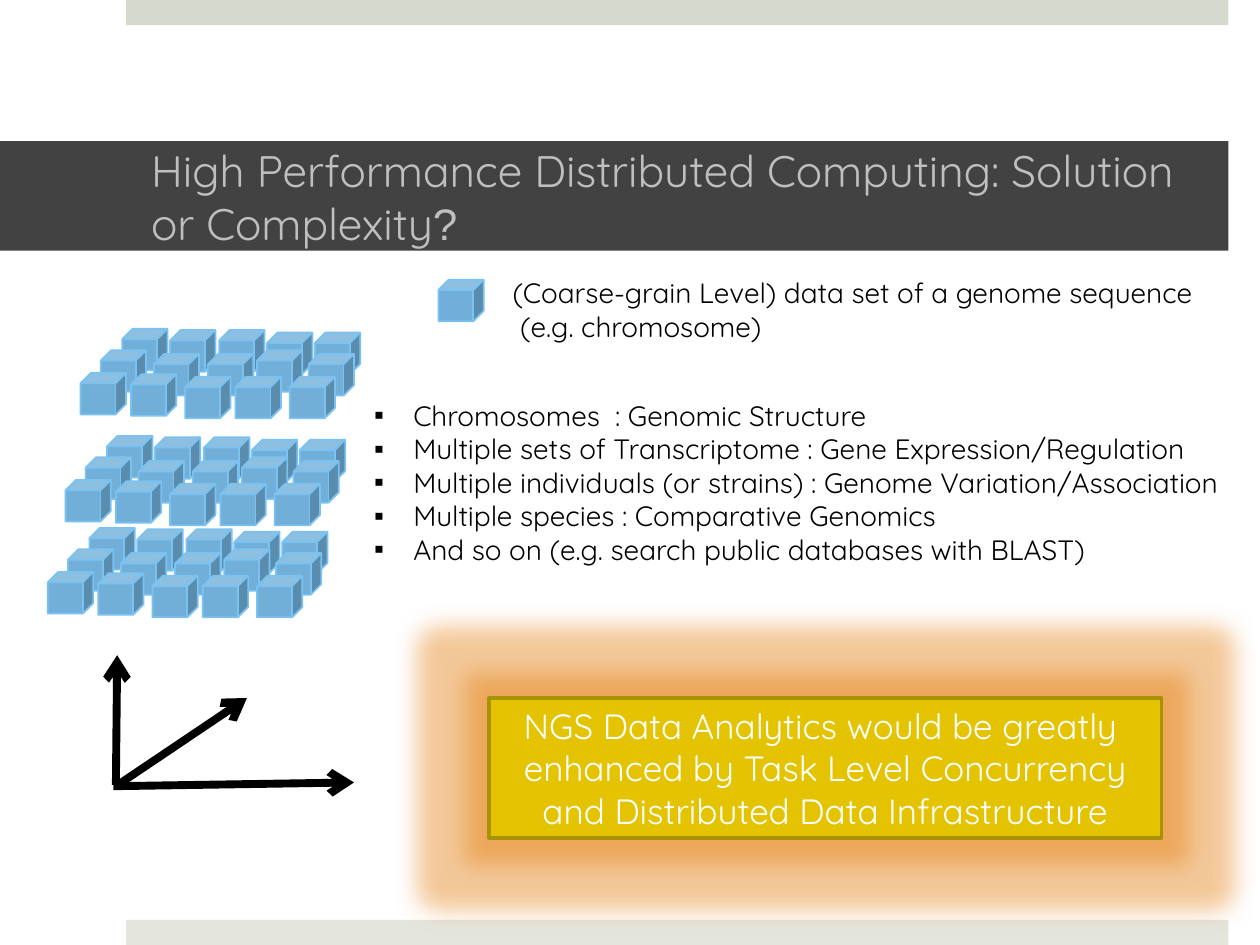
from lxml.etree import SubElement
from pptx import Presentation
from pptx.dml.color import RGBColor
from pptx.enum.shapes import MSO_CONNECTOR as Connector, MSO_SHAPE as Shape
from pptx.enum.text import MSO_ANCHOR as Anchor, MSO_AUTO_SIZE as AutoSize, PP_ALIGN as Align
from pptx.oxml.ns import qn
from pptx.util import Inches, Pt

BLACK = RGBColor(0x00, 0x00, 0x00)
WHITE = RGBColor(0xFF, 0xFF, 0xFF)
TOP_BAR = RGBColor(0xD6, 0xD9, 0xCD)
BOTTOM_BAR = RGBColor(0xE4, 0xE6, 0xDE)
TITLE_FILL = RGBColor(0x42, 0x42, 0x42)
TITLE_TEXT = RGBColor(0xBF, 0xBF, 0xBF)
CUBE_FILL = RGBColor(0x71, 0xAF, 0xD9)
CUBE_LINE = RGBColor(0x7A, 0xC2, 0xF2)
CALLOUT_FILL = RGBColor(0xE4, 0xC4, 0x02)
CALLOUT_LINE = RGBColor(0xA9, 0x91, 0x01)
GLOW = RGBColor(0xE3, 0x77, 0x00)
FONT = "Quicksand"

CUBE_ROWS = [
    [(0.85, 3.46), (1.23, 3.47), (1.62, 3.47), (2.00, 3.49), (2.38, 3.49)],
    [(0.68, 3.63), (1.10, 3.66), (1.53, 3.66), (1.92, 3.63), (2.33, 3.66)],
    [(0.52, 3.81), (0.92, 3.82), (1.35, 3.84), (1.75, 3.84), (2.18, 3.84)],
]
LAYER_OFFSETS = [(0, 0), (0.12, -0.85), (-0.14, 0.73)]
AXES = [
    ((0.90, 6.24), (2.81, 6.21)),
    ((0.92, 6.24), (1.96, 5.54)),
    ((0.92, 6.23), (0.93, 5.20)),
]
LEGEND = ["(Coarse-grain Level) data set of a genome sequence", " (e.g. chromosome)"]
DATA_KINDS = [
    "Chromosomes  : Genomic Structure",
    "Multiple sets of Transcriptome : Gene Expression/Regulation",
    "Multiple individuals (or strains) : Genome Variation/Association",
    "Multiple species : Comparative Genomics",
    "And so on (e.g. search public databases with BLAST)",
]
MESSAGE = [
    "NGS Data Analytics would be greatly ",
    "enhanced by Task Level Concurrency",
    "and Distributed Data Infrastructure",
]


def place(shape, left, top, width, height):
    """Move and size a shape in inches."""
    shape.left, shape.top = Inches(left), Inches(top)
    shape.width, shape.height = Inches(width), Inches(height)


def add_run(paragraph, text, size, color, font=FONT):
    """Append one formatted run."""
    run = paragraph.add_run()
    run.text = text
    run.font.name = font
    run.font.size = Pt(size)
    run.font.color.rgb = color


def add_lines(text_frame, lines, size, color, align=Align.LEFT):
    """Write one paragraph per line and return the paragraphs."""
    for index, line in enumerate(lines):
        paragraph = text_frame.add_paragraph() if index else text_frame.paragraphs[0]
        paragraph.alignment = align
        add_run(paragraph, line, size, color)
    return text_frame.paragraphs


def add_block(slide, kind, box, fill, line=None, line_width=1):
    """Add a filled preset shape."""
    shape = slide.shapes.add_shape(kind, *map(Inches, box))
    shape.shadow.inherit = False
    shape.fill.solid()
    shape.fill.fore_color.rgb = fill
    if line is None:
        shape.line.fill.background()
    else:
        shape.line.color.rgb = line
        shape.line.width = Pt(line_width)
    return shape


def add_cube(slide, left, top):
    """Add one data set cube."""
    add_block(slide, Shape.CUBE, (left, top, 0.36, 0.33), CUBE_FILL, CUBE_LINE)


def add_cube_layers(slide):
    """Add the stacked layers of cubes."""
    for shift_x, shift_y in LAYER_OFFSETS:
        for row in CUBE_ROWS:
            for left, top in row:
                add_cube(slide, left + shift_x, top + shift_y)


def add_axis(slide, start, end):
    """Add one thick axis arrow."""
    axis = slide.shapes.add_connector(Connector.STRAIGHT, *map(Inches, start + end))
    axis.line.color.rgb = BLACK
    axis.line.width = Pt(4.5)
    SubElement(axis.line._get_or_add_ln(), qn("a:tailEnd"), type="arrow")
    SubElement(axis._element.spPr, qn("a:effectLst"))


def add_legend(slide):
    """Add the cube key and its explanation."""
    add_cube(slide, 3.48, 2.22)
    box = slide.shapes.add_textbox(*map(Inches, (3.97, 2.14, 6.03, 0.64)))
    box.text_frame.word_wrap = True
    add_lines(box.text_frame, LEGEND, 16, BLACK)


def add_glow(shape, radius, color, alpha):
    """Surround a shape with a soft glow."""
    effects = shape._element.spPr.find(qn("a:effectLst"))
    glow = SubElement(effects, qn("a:glow"), rad=str(Inches(radius)))
    tint = SubElement(glow, qn("a:srgbClr"), val=str(color))
    SubElement(tint, qn("a:alpha"), val=str(alpha * 1000))


def add_message(slide):
    """Add the glowing conclusion box."""
    box = add_block(slide, Shape.RECTANGLE, (3.88, 5.54, 5.34, 1.11), CALLOUT_FILL, CALLOUT_LINE, 2)
    add_glow(box, 0.38, GLOW, 40)
    box.text_frame.word_wrap = False
    box.text_frame.vertical_anchor = Anchor.MIDDLE
    add_lines(box.text_frame, MESSAGE, 20, WHITE, Align.CENTER)


def fill_title(title):
    """Format and write the title band."""
    place(title, 0, 1.12, 9.75, 0.87)
    title.fill.solid()
    title.fill.fore_color.rgb = TITLE_FILL
    frame = title.text_frame
    frame.auto_size = AutoSize.NONE
    frame.word_wrap = True
    frame.vertical_anchor = Anchor.MIDDLE
    frame.margin_left, frame.margin_right = Inches(1.2), Inches(0.3)
    frame.margin_top = frame.margin_bottom = Inches(0.05)
    paragraph = frame.paragraphs[0]
    paragraph.alignment = Align.LEFT
    add_run(paragraph, "High Performance Distributed Computing: Solution or Complexity", 25.2, TITLE_TEXT)
    add_run(paragraph, "?", 25.2, TITLE_TEXT, "Arial")


def fill_list(body):
    """Format and write the bulleted list of data kinds."""
    place(body, 2.87, 3.11, 7.1, 1.45)
    body.text_frame.auto_size = AutoSize.NONE
    body.text_frame.word_wrap = True
    for paragraph in add_lines(body.text_frame, DATA_KINDS, 16, BLACK):
        properties = paragraph._p.get_or_add_pPr()
        properties.set("marL", str(Inches(0.31)))
        properties.set("indent", str(-Inches(0.31)))
        SubElement(properties, qn("a:buFont"), typeface="Arial")
        SubElement(properties, qn("a:buChar"), char="▪")
        paragraph.space_before = Pt(0)


def main():
    """Build and save the slide."""
    presentation = Presentation()
    presentation.slide_width, presentation.slide_height = Inches(10), Inches(7.5)
    slide = presentation.slides.add_slide(presentation.slide_layouts[1])
    add_block(slide, Shape.RECTANGLE, (1, 0, 8.75, 0.2), TOP_BAR)
    add_block(slide, Shape.RECTANGLE, (1, 7.3, 8.75, 0.2), BOTTOM_BAR)
    fill_title(slide.shapes.title)
    add_cube_layers(slide)
    add_legend(slide)
    fill_list(slide.placeholders[1])
    for start, end in AXES:
        add_axis(slide, start, end)
    add_message(slide)
    presentation.save("out.pptx")


if __name__ == "__main__":
    main()
